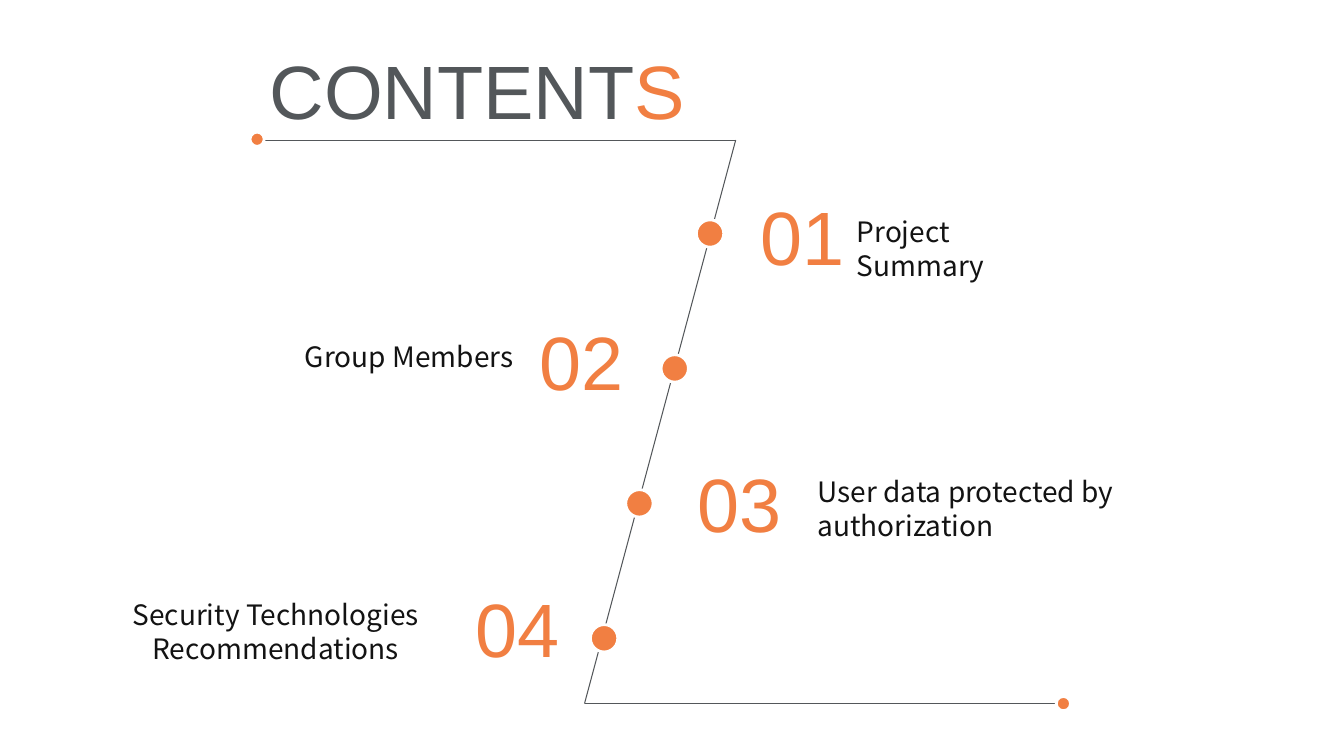
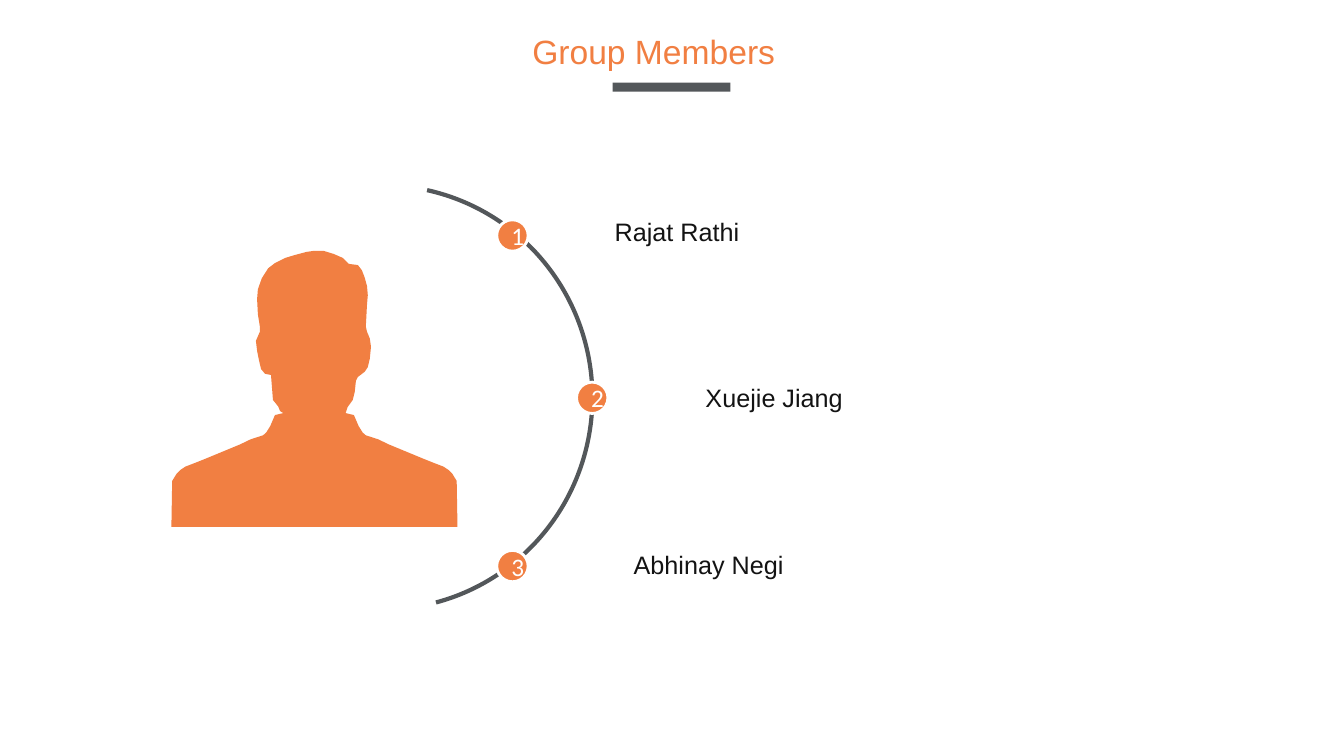
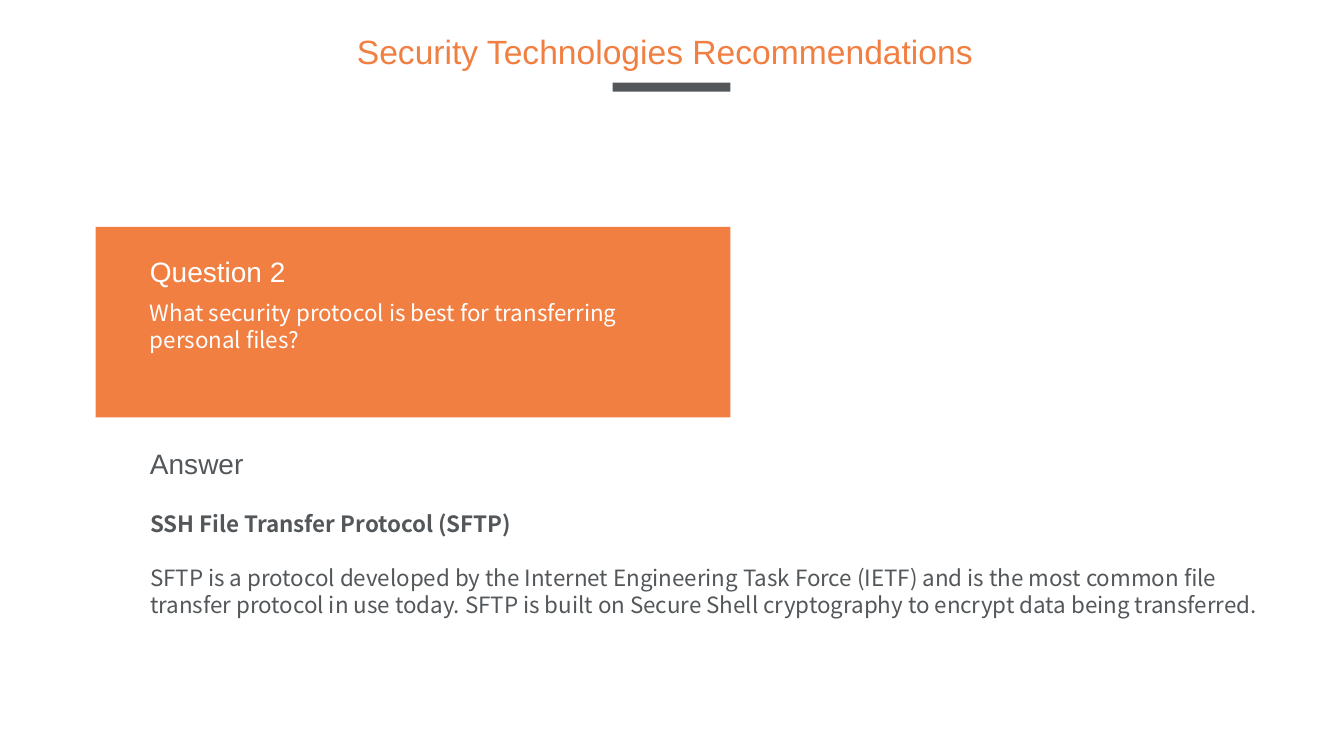
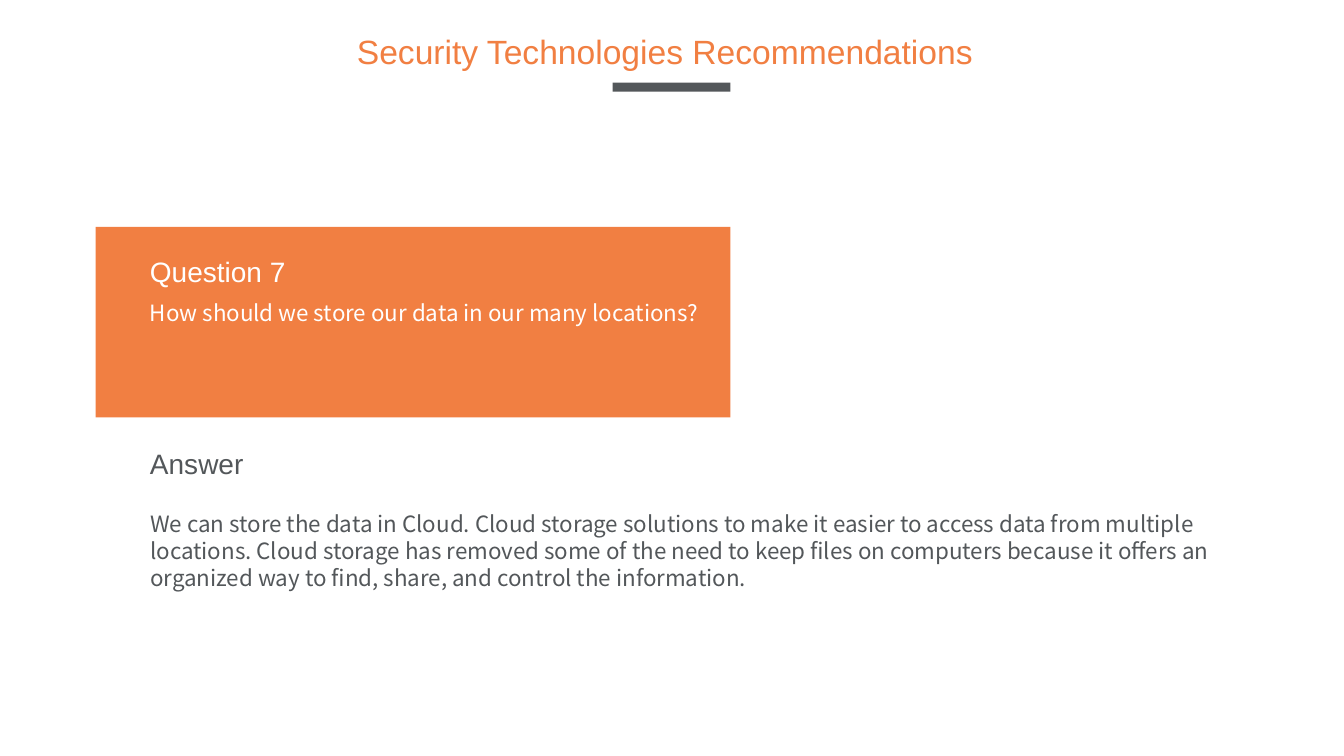
from itertools import pairwise

from lxml import etree
from pptx import Presentation
from pptx.dml.color import RGBColor
from pptx.enum.shapes import MSO_CONNECTOR, MSO_SHAPE
from pptx.enum.text import MSO_ANCHOR, MSO_AUTO_SIZE, PP_ALIGN
from pptx.oxml.ns import qn
from pptx.util import Cm, Pt

RECT, OVAL, ARC = MSO_SHAPE.RECTANGLE, MSO_SHAPE.OVAL, MSO_SHAPE.ARC
STRAIGHT = MSO_CONNECTOR.STRAIGHT
LEFT, CENTER = PP_ALIGN.LEFT, PP_ALIGN.CENTER
TOP, MIDDLE = MSO_ANCHOR.TOP, MSO_ANCHOR.MIDDLE
FIXED = MSO_AUTO_SIZE.NONE

COLORS = {"orange": "F17F42", "gray": "53575A", "ink": "131313", "white": "FFFFFF"}
HEAD, BODY, BADGE = "Arial", "Noto Sans CJK SC", "Calibri"
LEADING = 1.2
TITLE_ONLY, TITLE_BODY = 5, 1

FACE_RIGHT = [
    (919, 699), (925, 721), (927, 744), (925, 767), (922, 823), (925, 836),
    (932, 853), (935, 874), (932, 904), (927, 925), (919, 937), (902, 950),
    (897, 960), (894, 988), (889, 1008), (876, 1026),
]
SHOULDER = [
    (871, 1041), (892, 1046), (904, 1074), (914, 1090), (922, 1097), (953, 1107),
    (980, 1120), (1067, 1156), (1092, 1166), (1118, 1176), (1130, 1184),
    (1140, 1194), (1151, 1212), (1153, 1328),
]
FACE_LEFT = [
    (706, 1036), (701, 1024), (688, 1008), (683, 945), (668, 942), (658, 930),
    (653, 909), (648, 884), (645, 859), (655, 836), (655, 823), (650, 792),
    (648, 754), (650, 729), (660, 701), (676, 676), (693, 663), (719, 650),
    (742, 643), (772, 635), (792, 632), (815, 632), (841, 640), (864, 650),
    (879, 665), (902, 668), (912, 681),
]
MIRROR = 1585


def rgb(name):
    return RGBColor.from_string(COLORS[name])


def write(shape, *paras, size=20, font=HEAD, color="ink", align=LEFT, anchor=TOP, gap=0):
    frame = shape.text_frame
    frame.word_wrap = True
    frame.auto_size = FIXED
    frame.vertical_anchor = anchor
    for i, para in enumerate(paras):
        line = frame.add_paragraph() if i else frame.paragraphs[0]
        props = line._p.get_or_add_pPr()
        props.set("marL", "0")
        props.set("indent", "0")
        etree.SubElement(props, qn("a:buNone"))
        line.alignment = align
        line.space_before = Pt(gap if i else 0)
        if font == BODY:
            line.line_spacing = Pt(size * LEADING)
        for words, style in [(para, {})] if isinstance(para, str) else para:
            run = line.add_run()
            run.text = words
            run.font.name = font
            run.font.size = Pt(size)
            run.font.bold = style.get("bold", False)
            run.font.color.rgb = rgb(style.get("color", color))


def label(slide, box, *paras, **style):
    write(slide.shapes.add_textbox(*map(Cm, box)), *paras, **style)


def holder(shape, box, *paras, **style):
    shape.left, shape.top, shape.width, shape.height = map(Cm, box)
    write(shape, *paras, **style)


def paint(shape, fill=None, line=None, width=2):
    shape.shadow.inherit = False
    if fill:
        shape.fill.solid()
        shape.fill.fore_color.rgb = rgb(fill)
    else:
        shape.fill.background()
    if line:
        shape.line.color.rgb = rgb(line)
        shape.line.width = Pt(width)
    else:
        shape.line.fill.background()
    return shape


def block(slide, kind, box, **style):
    return paint(slide.shapes.add_shape(kind, *map(Cm, box)), **style)


def dot(slide, x, y, size):
    return block(slide, OVAL, (x, y, size, size), fill="orange", line="white")


def rule(slide, start, end):
    line = slide.shapes.add_connector(STRAIGHT, *map(Cm, start + end))
    line.line.color.rgb = rgb("gray")
    line.line.width = Pt(0.75)
    etree.SubElement(line._element.spPr, qn("a:effectLst"))


def header(slide, words, x, width):
    holder(slide.shapes.title, (x, 0.64, width, 1.27), words, size=24, color="orange")
    block(slide, RECT, (15.44, 2.08, 2.97, 0.23), fill="gray")


def person(slide):
    mirrored = [(MIRROR - x, y) for x, y in reversed(SHOULDER)]
    start, *rest = FACE_RIGHT + SHOULDER + mirrored + FACE_LEFT
    path = slide.shapes.build_freeform(*start, scale=Cm(0.01))
    path.add_line_segments(rest, close=True)
    paint(path.convert_to_shape(), fill="orange")


def contents(slide):
    holder(slide.shapes.title, (6.03, 0.97, 12, 2.57),
           [("CONTENT", {}), ("S", {"color": "orange"})],
           size=54, color="gray", align=CENTER)
    bends = [(6.53, 3.53), (18.54, 3.53), (14.73, 17.73), (26.75, 17.73)]
    for start, end in pairwise(bends):
        rule(slide, start, end)
    for x, y in [(6.3, 3.33), (26.62, 17.55)]:
        dot(slide, x, y, 0.36)
    items = [
        ((18.92, 4.65), (21.34, 5.28, 6.02, 1.96), "Project Summary", LEFT),
        ((13.34, 7.82), (7.17, 8.43, 6.29, 1.12), "Group Members", CENTER),
        ((17.32, 11.38), (20.35, 11.84, 10.21, 1.96),
         "User data protected by authorization", LEFT),
        ((11.73, 14.53), (2.16, 14.94, 9.58, 1.96),
         "Security Technologies Recommendations", CENTER),
    ]
    for i, (spot, box, words, align) in enumerate(items):
        dot(slide, 17.55 - 0.89 * i, 5.54 + 3.4 * i, 0.69)
        label(slide, (*spot, 3, 2.57), f"{i + 1:02}", size=54, color="orange")
        label(slide, box, words, font=BODY, align=align)


def members(slide):
    header(slide, "Group Members", 13.16, 7.5)
    curve = block(slide, ARC, (4.34, 4.67, 10.59, 10.69), line="gray", width=3)
    for i, angle in enumerate((282.2, 75.33)):
        curve.adjustments[i] = angle * 0.6
    people = [
        (12.52, 5.54, 15.24, 5.33, "Rajat Rathi"),
        (14.53, 9.63, 17.53, 9.5, "Xuejie Jiang"),
        (12.52, 13.87, 15.72, 13.72, "Abhinay Negi"),
    ]
    for i, (x, y, left, top, name) in enumerate(people, 1):
        write(dot(slide, x, y, 0.79), str(i), size=18, font=BADGE,
              color="white", align=CENTER, anchor=MIDDLE)
        label(slide, (left, top, 6, 1.02), name, size=18)
    person(slide)


def answer(slide, number, question, *paras):
    header(slide, "Security Technologies Recommendations", 8.74, 16.2)
    block(slide, RECT, (2.41, 5.72, 16, 4.8), fill="orange")
    left = 3.53
    label(slide, (left, 6.3, 5, 1.12), f"Question {number}", color="white")
    label(slide, (left, 7.42, 14.4, 1.63), question, size=16, font=BODY, color="white")
    label(slide, (left, 11.13, 5, 1.12), "Answer", color="gray")
    holder(slide.placeholders[1], (left, 12.73, 28.8, 3), *paras,
           size=16, font=BODY, color="gray", gap=16 * LEADING)


def main():
    deck = Presentation()
    deck.slide_width, deck.slide_height = Cm(33.87), Cm(19.05)

    def page(layout):
        return deck.slides.add_slide(deck.slide_layouts[layout])

    contents(page(TITLE_ONLY))
    members(page(TITLE_ONLY))
    answer(
        page(TITLE_BODY), 2,
        "What security protocol is best for transferring personal files?",
        [("SSH File Transfer Protocol (SFTP)", {"bold": True})],
        "SFTP is a protocol developed by the Internet Engineering Task Force (IETF) "
        "and is the most common file transfer protocol in use today. SFTP is built on "
        "Secure Shell cryptography to encrypt data being transferred.",
    )
    answer(
        page(TITLE_BODY), 7,
        "How should we store our data in our many locations?",
        "We can store the data in Cloud. Cloud storage solutions to make it easier to "
        "access data from multiple locations. Cloud storage has removed some of the "
        "need to keep files on computers because it offers an organized way to find, "
        "share, and control the information.",
    )
    deck.save("out.pptx")


if __name__ == "__main__":
    main()
